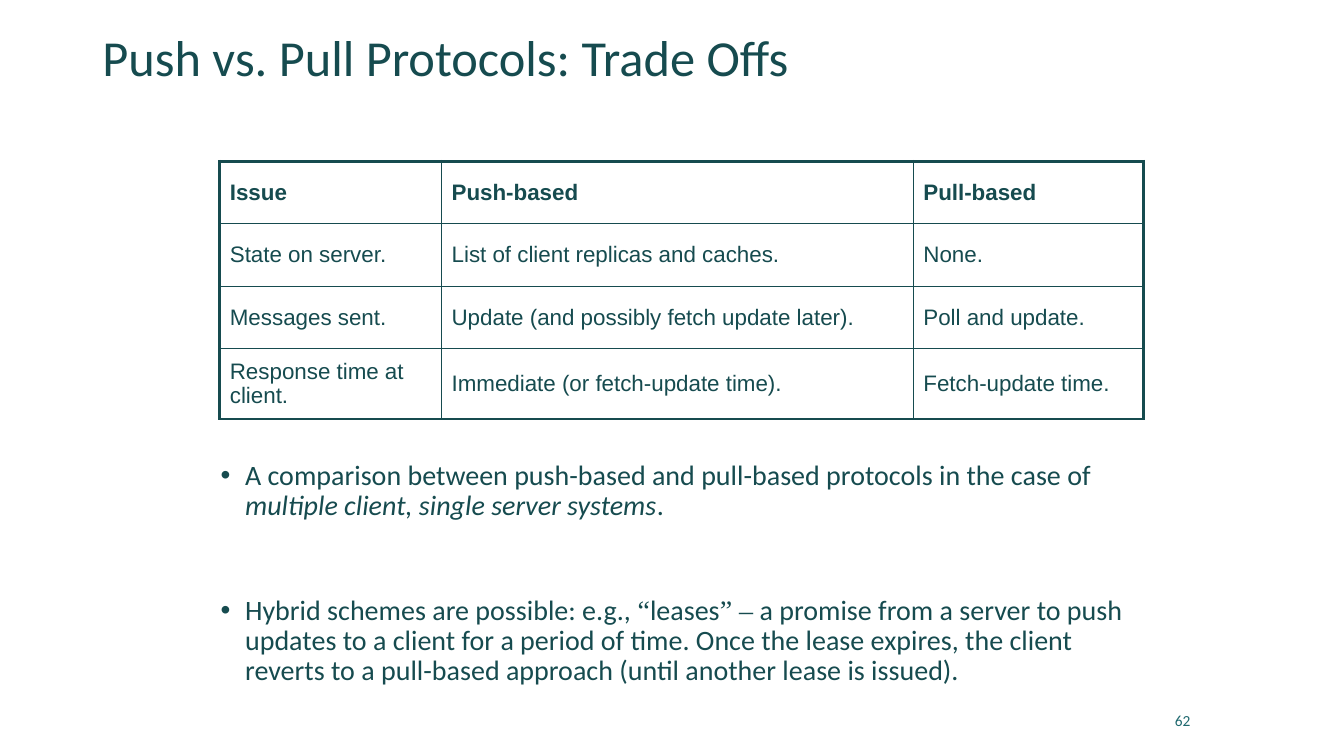
from lxml.etree import SubElement
from pptx import Presentation
from pptx.dml.color import RGBColor
from pptx.enum.text import MSO_ANCHOR, MSO_AUTO_SIZE, PP_ALIGN
from pptx.oxml import parse_xml
from pptx.oxml.ns import nsdecls, qn
from pptx.util import Pt

ROWS = [
    ["Issue", "Push-based", "Pull-based"],
    ["State on server.", "List of client replicas and caches.", "None."],
    ["Messages sent.", "Update (and possibly fetch update later).", "Poll and update."],
    ["Response time at client.", "Immediate (or fetch-update time).", "Fetch-update time."],
]
SERIF = {"font": "Times New Roman"}
BULLETS = [
    (0, [
        ("A comparison between push-based and pull-based protocols in the case of ", {}),
        ("multiple client, single server systems", {"italic": True}),
        (".", {}),
    ]),
    (53, [
        ("Hybrid schemes are possible: e.g., ", {}),
        ("“", SERIF),
        ("leases", {}),
        ("” –", SERIF),
        (" a promise from a server to push updates to a client for a period of time. "
         "Once the lease expires, the client reverts to a pull-based approach "
         "(until another lease is issued).", {}),
    ]),
]


def color(value):
    return RGBColor.from_string(value)


class SlideBuilder:
    ink = "164B4F"
    accent = "1F696F"
    font = "Calibri"
    table_font = "Arial"
    outer, inner = 2.25, 1

    def __init__(self, prs):
        self.s = prs.slides.add_slide(prs.slide_layouts[5])

    def run(self, p, text, size, font=None, ink=None, bold=False, italic=False):
        r = p.add_run()
        r.text = text
        r.font.size = Pt(size)
        r.font.name = font or self.font
        r.font.bold = bold
        r.font.italic = italic
        r.font.color.rgb = color(ink or self.ink)

    def frame(self, sp, anchor):
        tf = sp.text_frame
        tf.word_wrap = True
        tf.auto_size = MSO_AUTO_SIZE.NONE
        tf.vertical_anchor = anchor
        return tf

    def text_box(self, left, top, width, height, anchor=MSO_ANCHOR.TOP):
        sp = self.s.shapes.add_textbox(Pt(left), Pt(top), Pt(width), Pt(height))
        return self.frame(sp, anchor)

    def title(self, text, left, top, width, height):
        sp = self.s.shapes.title
        sp.left, sp.top, sp.width, sp.height = Pt(left), Pt(top), Pt(width), Pt(height)
        p = self.frame(sp, MSO_ANCHOR.BOTTOM).paragraphs[0]
        p.alignment = PP_ALIGN.LEFT
        p.line_spacing = 0.9
        self.run(p, text, 36)

    def page_number(self, text, left, top, width, height):
        p = self.text_box(left, top, width, height, MSO_ANCHOR.MIDDLE).paragraphs[0]
        p.alignment = PP_ALIGN.RIGHT
        self.run(p, text, 11, ink=self.accent)

    def bullets(self, items, left, top, width, height):
        tf = self.text_box(left, top, width, height)
        for i, (gap, runs) in enumerate(items):
            p = tf.add_paragraph() if i else tf.paragraphs[0]
            p.line_spacing = 0.9
            p.space_before = Pt(gap)
            pPr = p._p.get_or_add_pPr()
            pPr.set("marL", str(Pt(17.5)))
            pPr.set("indent", str(-Pt(17.5)))
            SubElement(pPr, qn("a:buFont"), typeface="Arial")
            SubElement(pPr, qn("a:buChar"), char="•")
            for text, style in runs:
                self.run(p, text, 20, **style)

    def borders(self, cell, **outside):
        tcPr = cell._tc.get_or_add_tcPr()
        for i, side in enumerate("LRTB"):
            width = Pt(self.outer if outside[side] else self.inner)
            tcPr.insert(i, parse_xml(
                f'<a:ln{side} {nsdecls("a")} w="{width}"><a:solidFill>'
                f'<a:srgbClr val="{self.ink}"/></a:solidFill></a:ln{side}>'))

    def table(self, rows, left, top, widths, heights):
        sp = self.s.shapes.add_table(len(rows), len(widths), Pt(left), Pt(top),
                                     Pt(sum(widths)), Pt(sum(heights)))
        table = sp.table
        table.first_row = table.horz_banding = False
        for column, width in zip(table.columns, widths):
            column.width = Pt(width)
        for i, (row, height) in enumerate(zip(rows, heights)):
            table.rows[i].height = Pt(height)
            for j, text in enumerate(row):
                cell = table.cell(i, j)
                cell.fill.background()
                cell.vertical_anchor = MSO_ANCHOR.MIDDLE
                self.run(cell.text_frame.paragraphs[0], text, 16, self.table_font, bold=i == 0)
                self.borders(cell, L=j == 0, R=j == len(widths) - 1,
                             T=i == 0, B=i == len(rows) - 1)


def main():
    prs = Presentation()
    prs.slide_width, prs.slide_height = Pt(960), Pt(540)
    slide = SlideBuilder(prs)
    slide.page_number("62", 633.5, 500.5, 224, 28.5)
    slide.title("Push vs. Pull Protocols: Trade Offs", 66, 0, 893.5, 66)
    slide.bullets(BULLETS, 150.5, 326, 682, 187)
    slide.table(ROWS, 157, 115.2, [158.4, 337, 164.2], [44.6] * 3 + [50.4])
    prs.save("out.pptx")


if __name__ == "__main__":
    main()
